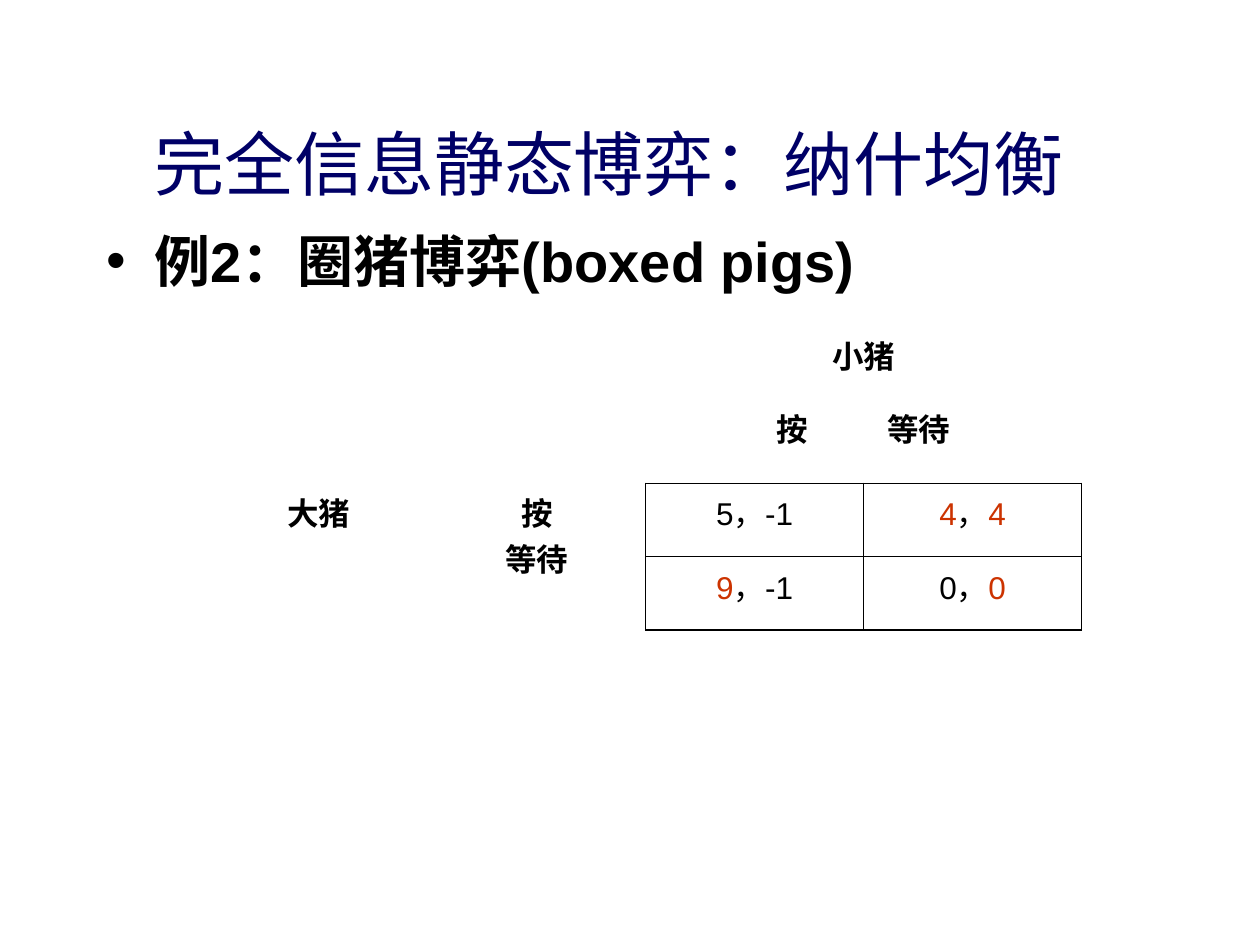
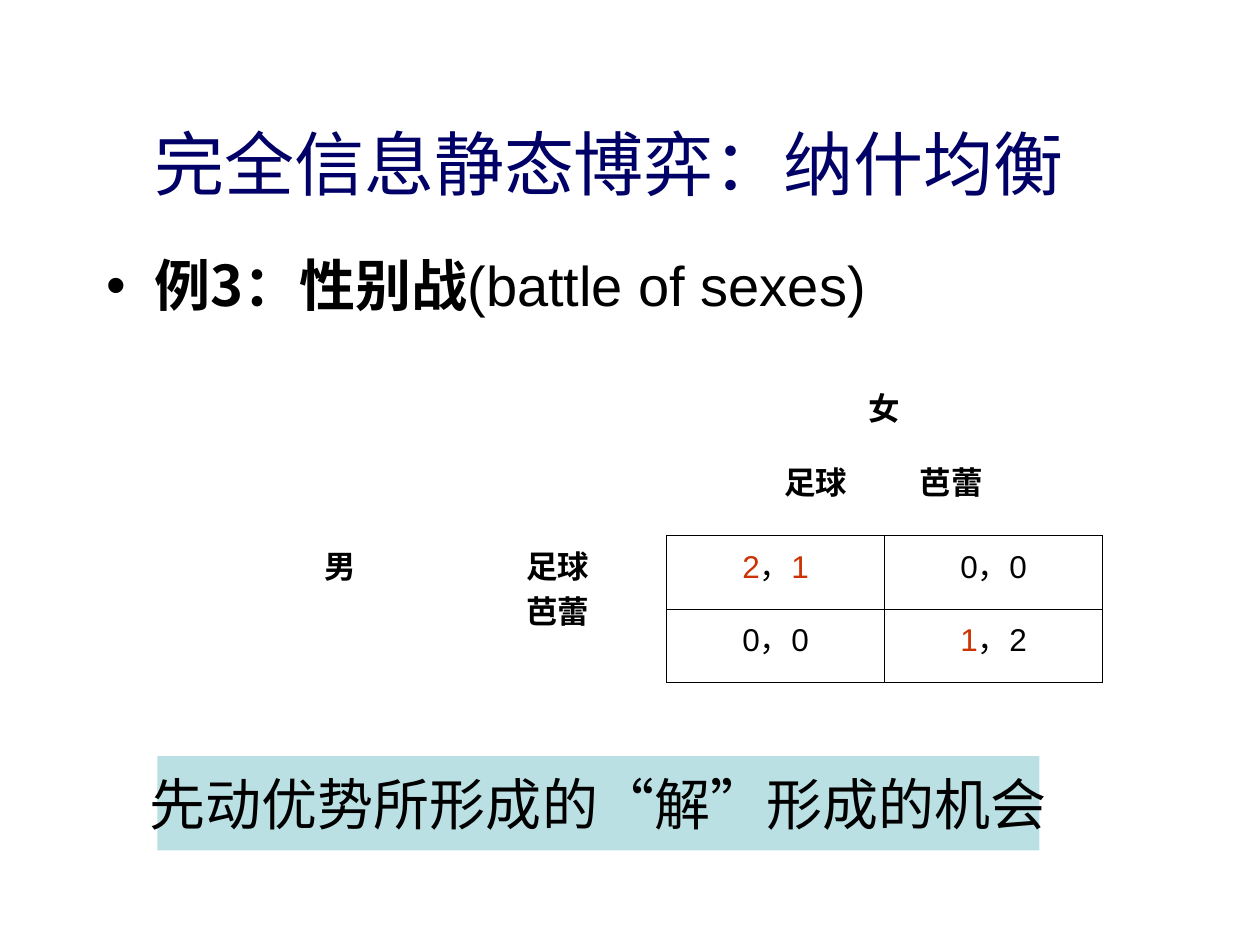
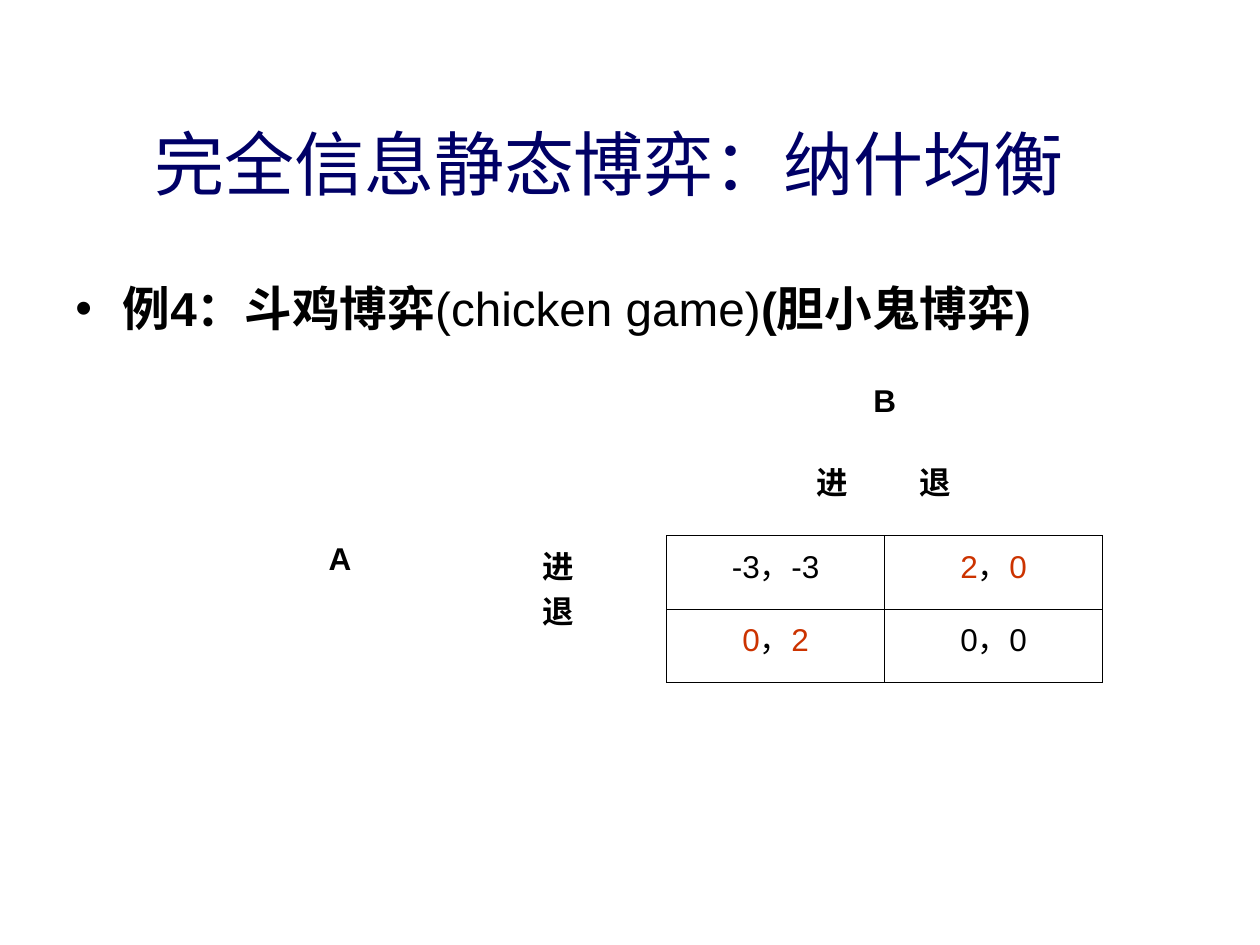
from dataclasses import dataclass

from lxml.etree import SubElement
from pptx import Presentation
from pptx.dml.color import RGBColor as RGB
from pptx.enum.shapes import MSO_SHAPE as Shape
from pptx.enum.text import MSO_ANCHOR as Anchor, PP_ALIGN as Align
from pptx.oxml import parse_xml
from pptx.oxml.ns import nsdecls, qn
from pptx.util import Pt

SCALE = 7620


@dataclass(frozen=True)
class Theme:
    """Colours, fonts and type sizes shared by the slides."""
    navy: str = "000066"
    black: str = "000000"
    red: str = "CC3300"
    aqua: str = "BBE0E3"
    latin: str = "Arial"
    serif: str = "Times New Roman"
    chinese: str = "Noto Sans CJK SC"
    title: float = 40
    body: float = 32
    compact: float = 27.2
    game: float = 18
    thin: float = 0.45
    thick: float = 1.08


@dataclass(frozen=True)
class Game:
    """Players, moves and payoffs; an asterisk marks a best reply."""
    row_player: str
    column_player: str
    moves: tuple
    payoffs: tuple
    moves_left: int
    moves_tab: int


THEME = Theme()
TITLE = "完全信息静态博弈：纳什均衡"
PIGS = Game("大猪", "小猪", ("按", "等待"),
            (("5，-1", "4*，4*"), ("9*，-1", "0，0*")), 125, 105)
SEXES = Game("男", "女", ("足球", "芭蕾"),
             (("2*，1*", "0，0"), ("0，0", "1*，2")), 112, 129)
CHICKEN = Game("A", "B", ("进", "退"),
               (("-3，-3", "2*，0*"), ("0*，2*", "0，0")), 143, 98)


def px(*lengths):
    """Turn px lengths into EMU."""
    return [length * SCALE for length in lengths]


def style(run, size, color=THEME.black, bold=False, face=THEME.latin):
    """Give a run its type."""
    font = run.font
    font.size, font.bold, font.name = Pt(size), bold, face
    font.color.rgb = RGB.from_string(color)
    SubElement(run.font._element, qn("a:ea")).set("typeface", THEME.chinese)


def write(frame, text, size, align=Align.CENTER, **look):
    """Fill a text frame, one paragraph a line, in one style."""
    frame.text = text
    for paragraph in frame.paragraphs:
        paragraph.alignment = align
        for run in paragraph.runs:
            style(run, size, **look)


def add_titled_slide(deck):
    """Add a slide with the shared title."""
    slide = deck.slides.add_slide(deck.slide_layouts[5])
    title = slide.shapes.title
    title.left, title.top, title.width, title.height = px(50, 80, 1060, 150)
    title.text_frame.vertical_anchor = Anchor.MIDDLE
    write(title.text_frame, TITLE, THEME.title, color=THEME.navy)
    return slide


def add_example(slide, box, parts, size=THEME.body, spacing=None):
    """Add the bulleted name of the game from (text, bold, face) parts."""
    frame = slide.shapes.add_textbox(*px(*box)).text_frame
    frame.word_wrap = True
    paragraph = frame.paragraphs[0]
    properties = paragraph._p.get_or_add_pPr()
    hanging, = px(45)
    properties.set("marL", str(hanging))
    properties.set("indent", str(-hanging))
    color = SubElement(properties, qn("a:buClr"))
    SubElement(color, qn("a:srgbClr")).set("val", THEME.black)
    SubElement(properties, qn("a:buFont")).set("typeface", THEME.latin)
    SubElement(properties, qn("a:buChar")).set("char", "•")
    if spacing:
        paragraph.line_spacing = spacing
    for text, bold, face in parts:
        run = paragraph.add_run()
        run.text = text
        style(run, size, bold=bold, face=face)


def edge(side, width):
    """Make one cell border; no width hides it."""
    paint = (f'<a:solidFill><a:srgbClr val="{THEME.black}"/></a:solidFill>'
             if width else "<a:noFill/>")
    return parse_xml(f'<a:ln{side} {nsdecls("a")} w="{Pt(width)}">{paint}</a:ln{side}>')


def edge_width(row, column, side):
    """Rule the payoff cells, heavier at the outer right and bottom."""
    if row >= 2 and column >= 2:
        outer = (side == "R" and column == 3) or (side == "B" and row == 3)
        return THEME.thick if outer else THEME.thin
    above = row == 1 and column >= 2 and side == "B"
    beside = column == 1 and row >= 2 and side == "R"
    return THEME.thin if above or beside else 0


def write_payoff(cell, payoff):
    """Write a payoff pair with its best replies in red."""
    paragraph = cell.text_frame.paragraphs[0]
    paragraph.alignment = Align.CENTER
    first, second = payoff.split("，")
    for value in (first, "，", second):
        run = paragraph.add_run()
        run.text = value.rstrip("*")
        style(run, THEME.game, THEME.red if value.endswith("*") else THEME.black)


def write_column_moves(cell, game):
    """Write the column player's moves at a tab's distance."""
    cell.margin_left, stop = px(game.moves_left, game.moves_tab)
    properties = cell.text_frame.paragraphs[0]._p.get_or_add_pPr()
    tab = SubElement(SubElement(properties, qn("a:tabLst")), qn("a:tab"))
    tab.set("pos", str(stop))
    tab.set("algn", "l")
    paragraph = cell.text_frame.paragraphs[0]
    paragraph.text = "\t".join(game.moves)
    paragraph.alignment = Align.LEFT
    style(paragraph.runs[0], THEME.game, bold=True)


def add_game(slide, left, top, game):
    """Add the payoff matrix of a game."""
    table = slide.shapes.add_table(4, 4, *px(left, top, 830, 290)).table
    table.first_row = table.horz_banding = False
    for row, height in zip(table.rows, px(70, 80, 70, 70)):
        row.height = height
    for row in range(4):
        for column in range(4):
            cell = table.cell(row, column)
            cell.fill.background()
            for place, side in enumerate("LRTB"):
                cell._tc.tcPr.insert(place, edge(side, edge_width(row, column, side)))
    for start, end in (((0, 0), (1, 1)), ((0, 2), (0, 3)), ((1, 2), (1, 3)),
                       ((2, 0), (3, 0)), ((2, 1), (3, 1))):
        table.cell(*start).merge(table.cell(*end))
    for place, text in (((0, 2), game.column_player), ((2, 0), game.row_player),
                        ((2, 1), "\n".join(game.moves))):
        write(table.cell(*place).text_frame, text, THEME.game, bold=True)
    write_column_moves(table.cell(1, 2), game)
    for row, payoffs in enumerate(game.payoffs, 2):
        for column, payoff in enumerate(payoffs, 2):
            write_payoff(table.cell(row, column), payoff)


def add_conclusion(slide, text):
    """Add the tinted conclusion band."""
    band = slide.shapes.add_shape(Shape.RECTANGLE, *px(150, 720, 840, 90))
    band.shadow.inherit = False
    band.fill.solid()
    band.fill.fore_color.rgb = RGB.from_string(THEME.aqua)
    band.line.fill.background()
    band.text_frame.word_wrap = False
    band.text_frame.vertical_anchor = Anchor.MIDDLE
    write(band.text_frame, text, THEME.body, face=THEME.serif)


def main():
    """Build the three examples."""
    deck = Presentation()
    deck.slide_width, deck.slide_height = px(1200, 900)

    pigs = add_titled_slide(deck)
    add_example(pigs, (90, 210, 1020, 80),
                [("例2：圈猪博弈(boxed pigs)", True, THEME.latin)])
    add_game(pigs, 200, 310, PIGS)

    sexes = add_titled_slide(deck)
    add_example(sexes, (90, 240, 1020, 70),
                [("例3：性别战", True, THEME.chinese),
                 ("(battle of sexes)", False, THEME.latin)], spacing=0.9)
    add_game(sexes, 220, 360, SEXES)
    add_conclusion(sexes, "先动优势所形成的“解”形成的机会")

    chicken = add_titled_slide(deck)
    add_example(chicken, (60, 260, 1070, 80),
                [("例4：斗鸡博弈", True, THEME.latin),
                 ("(chicken game)", False, THEME.latin),
                 ("(胆小鬼博弈)", True, THEME.latin)], THEME.compact)
    add_game(chicken, 220, 360, CHICKEN)

    deck.save("out.pptx")


if __name__ == "__main__":
    main()
